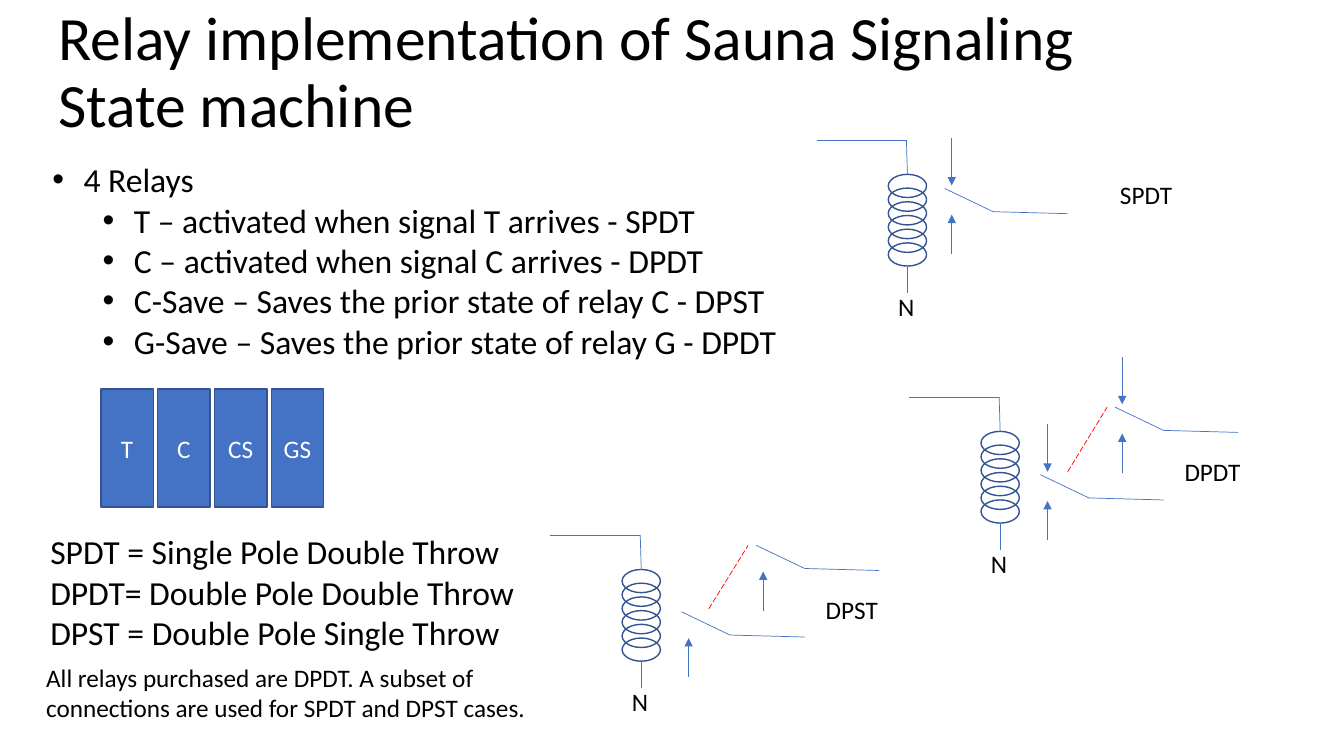
import pptx
import pptx.util
import pptx.dml.color
import pptx.enum.dml
import pptx.enum.shapes
import pptx.enum.text
import pptx.oxml.ns

Inches = pptx.util.Inches
Pt = pptx.util.Pt
RGBColor = pptx.dml.color.RGBColor
SHAPE = pptx.enum.shapes.MSO_SHAPE
ANCHOR = pptx.enum.text.MSO_ANCHOR
AUTO_SIZE = pptx.enum.text.MSO_AUTO_SIZE

BLACK = RGBColor(0x00, 0x00, 0x00)
WHITE = RGBColor(0xFF, 0xFF, 0xFF)
BLUE = RGBColor(0x44, 0x72, 0xC4)
DARK_BLUE = RGBColor(0x32, 0x54, 0x91)
RED = RGBColor(0xFF, 0x00, 0x00)

RELAY_NOTES = [
    (0, "4 Relays"),
    (1, "T – activated when signal T arrives - SPDT"),
    (1, "C – activated when signal C arrives - DPDT"),
    (1, "C-Save – Saves the prior state of relay C - DPST"),
    (1, "G-Save – Saves the prior state of relay G - DPDT"),
]
ABBREVIATIONS = [
    (0, "SPDT = Single Pole Double Throw"),
    (0, "DPDT= Double Pole Double Throw"),
    (0, "DPST = Double Pole Single Throw"),
]
PURCHASE_NOTE = ("All relays purchased are DPDT. A subset of connections "
                 "are used for SPDT and DPST cases.")

# Coil position, switch tips (lower pole first), upper contact, label position
RELAYS = [
    ("SPDT", (8.81, 1.73), [(9.37, 1.87)], True, (11.01, 1.73, 0.72, 0.4)),
    ("DPDT", (9.73, 4.28), [(10.32, 4.71), (11.06, 4.04)], True,
     (11.65, 4.48, 0.76, 0.4)),
    ("DPST", (6.17, 5.65), [(6.76, 6.07), (7.5, 5.41)], False,
     (8.09, 5.85, 0.72, 0.4)),
]

COIL_TURNS = 6
COIL_H = 0.91
TURN_W, TURN_H = 0.38, 0.23
TURN_PITCH = (COIL_H - TURN_H) / (COIL_TURNS - 1)
BLOCK_COUNT = 4
BLOCK_W, BLOCK_H = 0.52, 1.17
BLOCK_PITCH = (2.69 - 1) / (BLOCK_COUNT - 1)


def set_format(obj, values):
    for name, value in values.items():
        setattr(obj, name, value)


def append_element(parent, tag, **attributes):
    parent.append(parent.makeelement(pptx.oxml.ns.qn(tag), attributes))


def add_bullet(p, level):
    pPr = p._p.get_or_add_pPr()
    pPr.set("marL", str(Inches(0.31 + 0.5 * level)))
    pPr.set("indent", str(Inches(-0.31)))
    append_element(pPr, "a:buFont", typeface="Arial")
    append_element(pPr, "a:buChar", char="•")


def write_lines(tf, lines, size, color=BLACK, bullets=False, **paragraph):
    for i, (level, text) in enumerate(lines):
        p = tf.paragraphs[0] if i == 0 else tf.add_paragraph()
        if bullets:
            p.level = level
            add_bullet(p, level)
        set_format(p, paragraph)
        r = p.add_run()
        r.text = text
        set_format(r.font, {"name": "Calibri", "size": Pt(size)})
        r.font.color.rgb = color


def add_text(shapes, box, lines, size=18, wrap=False, bullets=False,
             auto_size=AUTO_SIZE.SHAPE_TO_FIT_TEXT, anchor=ANCHOR.TOP, **paragraph):
    tf = shapes.add_textbox(*map(Inches, box)).text_frame
    set_format(tf, {"word_wrap": wrap, "auto_size": auto_size,
                    "vertical_anchor": anchor})
    write_lines(tf, lines, size, bullets=bullets, **paragraph)


def add_line(shapes, start, end, color=BLUE, arrow=False, dashed=False):
    line = shapes.add_connector(pptx.enum.shapes.MSO_CONNECTOR.STRAIGHT,
                                *map(Inches, (*start, *end)))
    line.line.width = Pt(0.5)
    line.line.color.rgb = color
    if dashed:
        line.line.dash_style = pptx.enum.dml.MSO_LINE.LONG_DASH
    spPr = line._element.spPr
    if arrow:
        append_element(spPr.find(pptx.oxml.ns.qn("a:ln")), "a:tailEnd",
                       type="triangle")
    append_element(spPr, "a:effectLst")


def add_outlined(shapes, kind, box, fill=None):
    sp = shapes.add_shape(kind, *map(Inches, box))
    sp.shadow.inherit = False
    if fill is None:
        sp.fill.background()
    else:
        sp.fill.solid()
        sp.fill.fore_color.rgb = fill
    sp.line.color.rgb = DARK_BLUE
    sp.line.width = Pt(1)
    return sp


def add_coil(slide, x, y):
    shapes = slide.shapes.add_group_shape().shapes
    for i in range(COIL_TURNS):
        add_outlined(shapes, SHAPE.OVAL, (x, y + i * TURN_PITCH, TURN_W, TURN_H))
    center, corner = x + TURN_W / 2, (x + 0.18, y - 0.34)
    add_line(shapes, (center, y + 1.18), (center, y + COIL_H))
    add_line(shapes, (center, y), corner)
    add_line(shapes, corner, (x - 0.71, y - 0.34))
    add_text(shapes, (x, y + 1.11, 0.36, 0.4), [(0, "N")])


def add_switch(shapes, x, y, upper_contact):
    pivot, contact_x = (x + 0.48, y + 0.23), x + 0.07
    add_line(shapes, pivot, (x, y))
    add_line(shapes, pivot, (x + 1.22, y + 0.25))
    add_line(shapes, (contact_x, y + 0.65), (contact_x, y + 0.26), arrow=True)
    if upper_contact:
        add_line(shapes, (contact_x, y - 0.5), (contact_x, y - 0.03), arrow=True)


def add_relay(slide, name, coil, tips, upper_contact, label_box):
    add_coil(slide, *coil)
    for tip in tips:
        add_switch(slide.shapes, *tip, upper_contact)
    # Dashed mechanical link between two poles
    if len(tips) == 2:
        (x1, y1), (x2, y2) = tips
        add_line(slide.shapes, (x1 + 0.27, y1 - 0.03), (x2 - 0.08, y2),
                 color=RED, dashed=True)
    add_text(slide.shapes, label_box, [(0, name)])


def add_relay_blocks(slide, names):
    shapes = slide.shapes.add_group_shape().shapes
    for i, name in enumerate(names):
        sp = add_outlined(shapes, SHAPE.RECTANGLE,
                          (1 + i * BLOCK_PITCH, 3.86, BLOCK_W, BLOCK_H), BLUE)
        tf = sp.text_frame
        set_format(tf, {"vertical_anchor": ANCHOR.MIDDLE, "word_wrap": True})
        write_lines(tf, [(0, name)], 18, WHITE,
                    alignment=pptx.enum.text.PP_ALIGN.CENTER)


def main():
    prs = pptx.Presentation()
    set_format(prs, {"slide_width": Inches(13.33), "slide_height": Inches(7.5)})
    slide = prs.slides.add_slide(prs.slide_layouts[6])

    # Title and text
    add_text(slide.shapes, (0.48, 0.01, 11.5, 1.45),
             [(0, "Relay implementation of Sauna Signaling State machine")], 44,
             wrap=True, auto_size=AUTO_SIZE.NONE, anchor=ANCHOR.MIDDLE,
             line_spacing=0.9)
    add_text(slide.shapes, (0.42, 1.53, 7.45, 2.12), RELAY_NOTES, 24, bullets=True)
    add_text(slide.shapes, (0.4, 5.22, 4.85, 1.31), ABBREVIATIONS, 24)

    # Relay diagrams
    for relay in RELAYS:
        add_relay(slide, *relay)

    # Relay blocks and purchase note
    add_relay_blocks(slide, ["T", "C", "CS", "GS"])
    add_text(slide.shapes, (0.36, 6.52, 5.47, 0.71), [(0, PURCHASE_NOTE)], wrap=True)

    prs.save("out.pptx")


if __name__ == "__main__":
    main()
